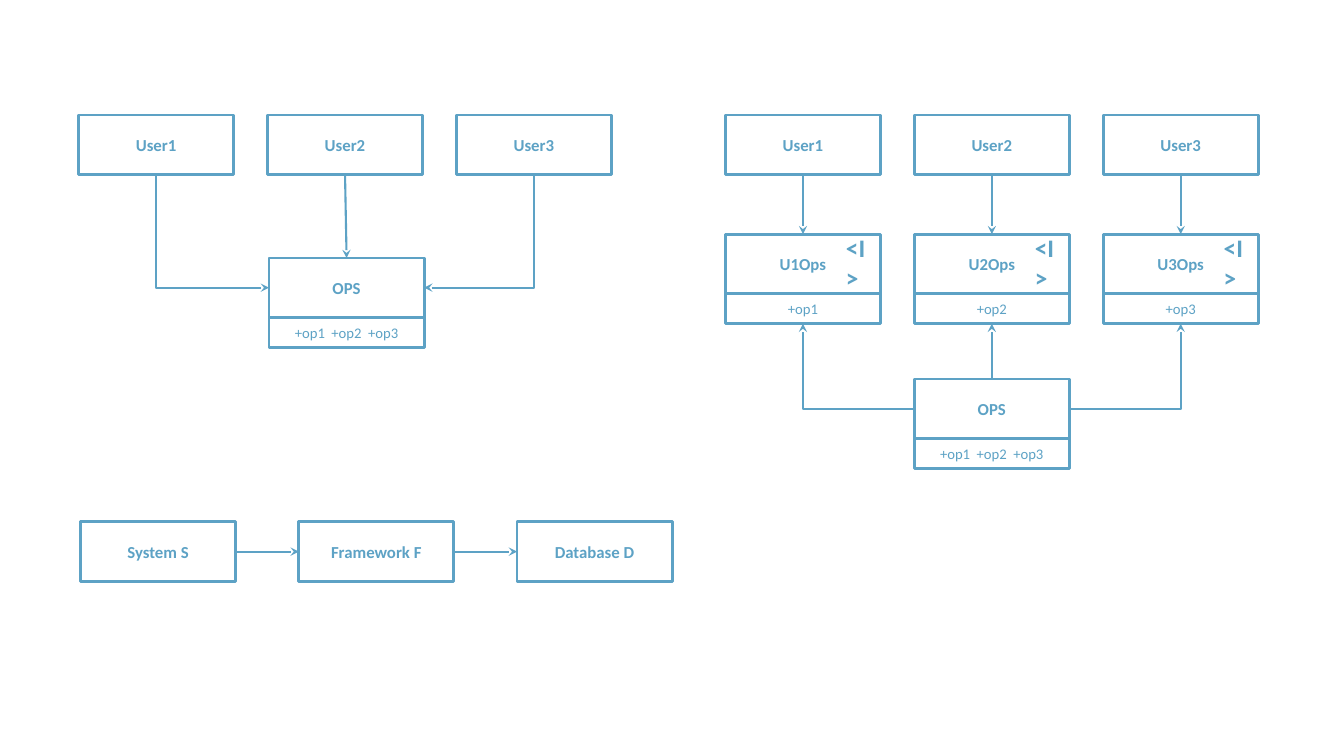
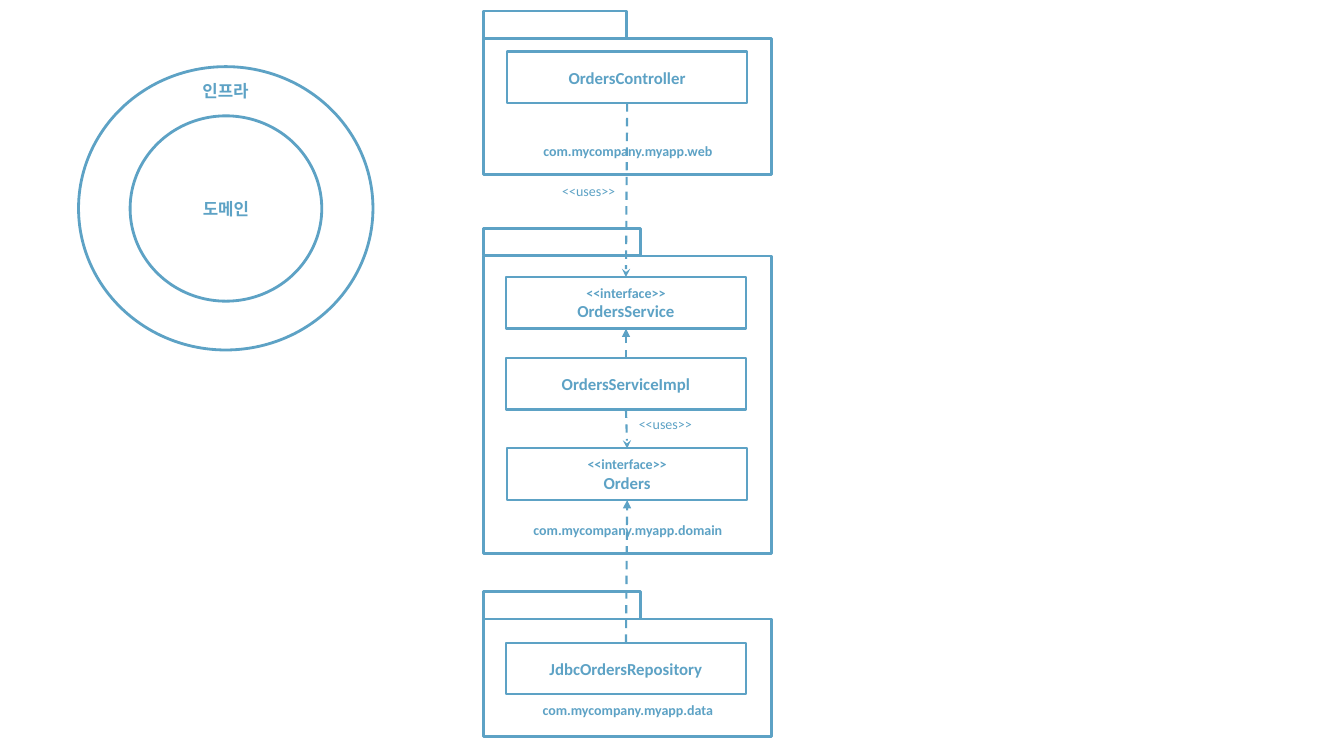
"""Build two slides of interface segregation and package dependency diagrams."""
from typing import NamedTuple

from lxml import etree
from pptx import Presentation
from pptx.dml.color import RGBColor
from pptx.enum.dml import MSO_LINE
from pptx.enum.shapes import MSO_CONNECTOR, MSO_SHAPE
from pptx.enum.text import MSO_ANCHOR, MSO_AUTO_SIZE, PP_ALIGN
from pptx.oxml.ns import qn
from pptx.shapes.autoshape import Shape
from pptx.slide import Slide
from pptx.util import Cm, Pt

RECT, ELLIPSE = MSO_SHAPE.RECTANGLE, MSO_SHAPE.OVAL
STRAIGHT, ELBOW = MSO_CONNECTOR.STRAIGHT, MSO_CONNECTOR.ELBOW
DASH = MSO_LINE.DASH
MIDDLE, BOTTOM = MSO_ANCHOR.MIDDLE, MSO_ANCHOR.BOTTOM
CENTER, LEFT_ALIGNED = PP_ALIGN.CENTER, PP_ALIGN.LEFT
FIT_SHAPE = MSO_AUTO_SIZE.SHAPE_TO_FIT_TEXT
TOP_SITE, LEFT_SITE, BOTTOM_SITE, RIGHT_SITE = range(4)

BLUE = "5DA2C5"
FONT = "Calibri"
NAME_WIDTH, NAME_HEIGHT, OPERATIONS_HEIGHT = 3.91, 1.5, 0.76
USER_TOP, USER_PITCH = 2.9, 4.76
CLASS_WIDTH, CLASS_HEIGHT = 6.05, 1.3
PACKAGE_LEFT, PACKAGE_WIDTH, TAB_HEIGHT = 12.19, 7.26, 0.69


class Area(NamedTuple):
    """Left, top, width and height in centimetres."""
    left: float
    top: float
    width: float
    height: float


class Line(NamedTuple):
    """One line of text with its size in points."""
    text: str
    size: float = 12
    bold: bool = True


class Component(NamedTuple):
    """A class box split into a name and its operations."""
    name: Shape
    operations: Shape


class Package(NamedTuple):
    """A package with a tab, a body and a label near its bottom edge."""
    label: str
    top: float
    height: float
    tab_width: float
    label_gap: float


class ClassBox(NamedTuple):
    """A class inside a package."""
    name: str
    left: float
    top: float
    stereotype: str = ""


def rgb(value: str) -> RGBColor:
    """Turn a hex string into a colour."""
    return RGBColor.from_string(value)


def write(target: Shape, lines: list[Line], align: PP_ALIGN = CENTER) -> None:
    """Write one paragraph for each line."""
    frame = target.text_frame
    for index, line in enumerate(lines):
        paragraph = frame.add_paragraph() if index else frame.paragraphs[0]
        paragraph.alignment = align
        run = paragraph.add_run()
        run.text = line.text
        run.font.name = FONT
        run.font.size = Pt(line.size)
        run.font.bold = line.bold
        run.font.color.rgb = rgb(BLUE)


def draw_outline(slide: Slide, area: Area, lines: list[Line], preset: MSO_SHAPE = RECT,
                 weight: float = 2) -> Shape:
    """Draw an unfilled shape with centred text."""
    outline = slide.shapes.add_shape(preset, *map(Cm, area))
    outline.shadow.inherit = False
    outline.fill.background()
    outline.line.color.rgb = rgb(BLUE)
    outline.line.width = Pt(weight)
    outline.text_frame.word_wrap = True
    outline.text_frame.vertical_anchor = MIDDLE
    write(outline, lines)
    return outline


def draw_note(slide: Slide, area: Area, line: Line, align: PP_ALIGN = LEFT_ALIGNED) -> None:
    """Place a free-standing label on one line."""
    note = slide.shapes.add_textbox(*map(Cm, area))
    note.text_frame.word_wrap = False
    note.text_frame.auto_size = FIT_SHAPE
    write(note, [line], align)


def draw_arrow(slide: Slide, source: Shape, source_site: int, target: Shape, target_site: int,
               head: str = "stealth", dashed: bool = False, bent: bool = False,
               at_source: bool = False) -> None:
    """Connect two shapes with an arrow, glued to their sites."""
    arrow = slide.shapes.add_connector(ELBOW if bent else STRAIGHT, 0, 0, 0, 0)
    arrow.begin_connect(source, source_site)
    arrow.end_connect(target, target_site)
    arrow.line.color.rgb = rgb(BLUE)
    arrow.line.width = Pt(1.5)
    if dashed:
        arrow.line.dash_style = DASH
    properties = arrow.element.spPr
    if bent:
        properties.find(qn("a:prstGeom")).set("prst", "bentConnector2")
    end = "a:headEnd" if at_source else "a:tailEnd"
    etree.SubElement(properties.find(qn("a:ln")), qn(end), type=head)
    etree.SubElement(properties, qn("a:effectLst"))


def draw_name(slide: Slide, name: str, left: float, top: float) -> Shape:
    """Draw a box that holds only a name."""
    return draw_outline(slide, Area(left, top, NAME_WIDTH, NAME_HEIGHT), [Line(name)])


def draw_component(slide: Slide, name: str, operations: str, left: float,
                   top: float) -> Component:
    """Draw a name box with its operations below."""
    area = Area(left, top + NAME_HEIGHT, NAME_WIDTH, OPERATIONS_HEIGHT)
    return Component(draw_name(slide, name, left, top),
                     draw_outline(slide, area, [Line(operations, 10.5, False)]))


def draw_users(slide: Slide, left: float) -> list[Shape]:
    """Draw the row of three users."""
    return [draw_name(slide, f"User{index + 1}", left + index * USER_PITCH, USER_TOP)
            for index in range(3)]


def draw_package(slide: Slide, package: Package) -> None:
    """Draw a package with its tab."""
    body = draw_outline(slide, Area(PACKAGE_LEFT, package.top, PACKAGE_WIDTH, package.height),
                        [Line(package.label, 10)])
    body.text_frame.vertical_anchor = BOTTOM
    body.text_frame.margin_bottom = Cm(package.label_gap)
    draw_outline(slide, Area(PACKAGE_LEFT, package.top - TAB_HEIGHT, package.tab_width,
                             TAB_HEIGHT), [])


def draw_class(slide: Slide, box: ClassBox) -> Shape:
    """Draw a class with its optional stereotype."""
    stereotype = [Line(box.stereotype, 10)] if box.stereotype else []
    return draw_outline(slide, Area(box.left, box.top, CLASS_WIDTH, CLASS_HEIGHT),
                        stereotype + [Line(box.name)], weight=1.5)


def build_segregation(slide: Slide) -> None:
    """Draw users sharing one class, users with own interfaces, and a chain."""
    all_operations = "+op1  +op2  +op3"
    user1, user2, user3 = draw_users(slide, 1.98)
    shared = draw_component(slide, "OPS", all_operations, 6.78, 6.5).name
    draw_arrow(slide, shared, LEFT_SITE, user1, BOTTOM_SITE, bent=True, at_source=True)
    draw_arrow(slide, user2, BOTTOM_SITE, shared, TOP_SITE)
    draw_arrow(slide, shared, RIGHT_SITE, user3, BOTTOM_SITE, bent=True, at_source=True)

    users_left = 18.28
    implementation = draw_component(slide, "OPS", all_operations, 23.04, 9.55).name
    ops_sites = (LEFT_SITE, TOP_SITE, RIGHT_SITE)
    for index, (user, site) in enumerate(zip(draw_users(slide, users_left), ops_sites)):
        left = users_left + index * USER_PITCH
        interface = draw_component(slide, f"U{index + 1}Ops", f"+op{index + 1}", left, 5.9)
        draw_note(slide, Area(left + 2.79, 5.73, 1.24, 1.02), Line("<I>", 18))
        draw_arrow(slide, user, BOTTOM_SITE, interface.name, TOP_SITE)
        draw_arrow(slide, implementation, site, interface.operations, BOTTOM_SITE,
                   bent=site != TOP_SITE)

    chain = [draw_name(slide, name, 2.03 + index * 5.5, 13.15)
             for index, name in enumerate(("System S", "Framework F", "Database D"))]
    for dependent, dependency in zip(chain, chain[1:]):
        draw_arrow(slide, dependent, RIGHT_SITE, dependency, LEFT_SITE)


def build_packages(slide: Slide) -> None:
    """Draw the domain inside its infrastructure and the application packages."""
    draw_outline(slide, Area(1.98, 1.68, 7.42, 7.14), [], ELLIPSE)
    draw_note(slide, Area(3.96, 1.9, 3.45, 0.77), Line("인프라"), CENTER)
    draw_outline(slide, Area(3.28, 2.92, 4.83, 4.67), [Line("도메인")], ELLIPSE)

    for package in (
        Package("com.mycompany.myapp.web", 0.97, 3.43, 3.61, 0.38),
        Package("com.mycompany.myapp.domain", 6.45, 7.49, 3.96, 0.38),
        Package("com.mycompany.myapp.data", 15.6, 2.97, 3.96, 0.48),
    ):
        draw_package(slide, package)

    controller, service, service_impl, orders, repository = [
        draw_class(slide, box) for box in (
            ClassBox("OrdersController", 12.78, 1.3),
            ClassBox("OrdersService", 12.75, 6.98, "<<interface>>"),
            ClassBox("OrdersServiceImpl", 12.75, 9.02),
            ClassBox("Orders", 12.78, 11.3, "<<interface>>"),
            ClassBox("JdbcOrdersRepository", 12.75, 16.2),
        )
    ]
    draw_arrow(slide, controller, BOTTOM_SITE, service, TOP_SITE, dashed=True)
    draw_arrow(slide, service_impl, BOTTOM_SITE, orders, TOP_SITE, dashed=True)
    draw_arrow(slide, service_impl, TOP_SITE, service, BOTTOM_SITE, "triangle", dashed=True)
    draw_arrow(slide, repository, TOP_SITE, orders, BOTTOM_SITE, "triangle", dashed=True)
    for left, top in ((13.92, 4.47), (15.85, 10.34)):
        draw_note(slide, Area(left, top, 1.85, 0.69), Line("<<uses>>", 10, False))


def main() -> None:
    """Build and save the presentation."""
    deck = Presentation()
    deck.slide_width, deck.slide_height = Cm(33.87), Cm(19.05)
    blank = deck.slide_layouts[6]
    for build in (build_segregation, build_packages):
        build(deck.slides.add_slide(blank))
    deck.save("out.pptx")


main()
